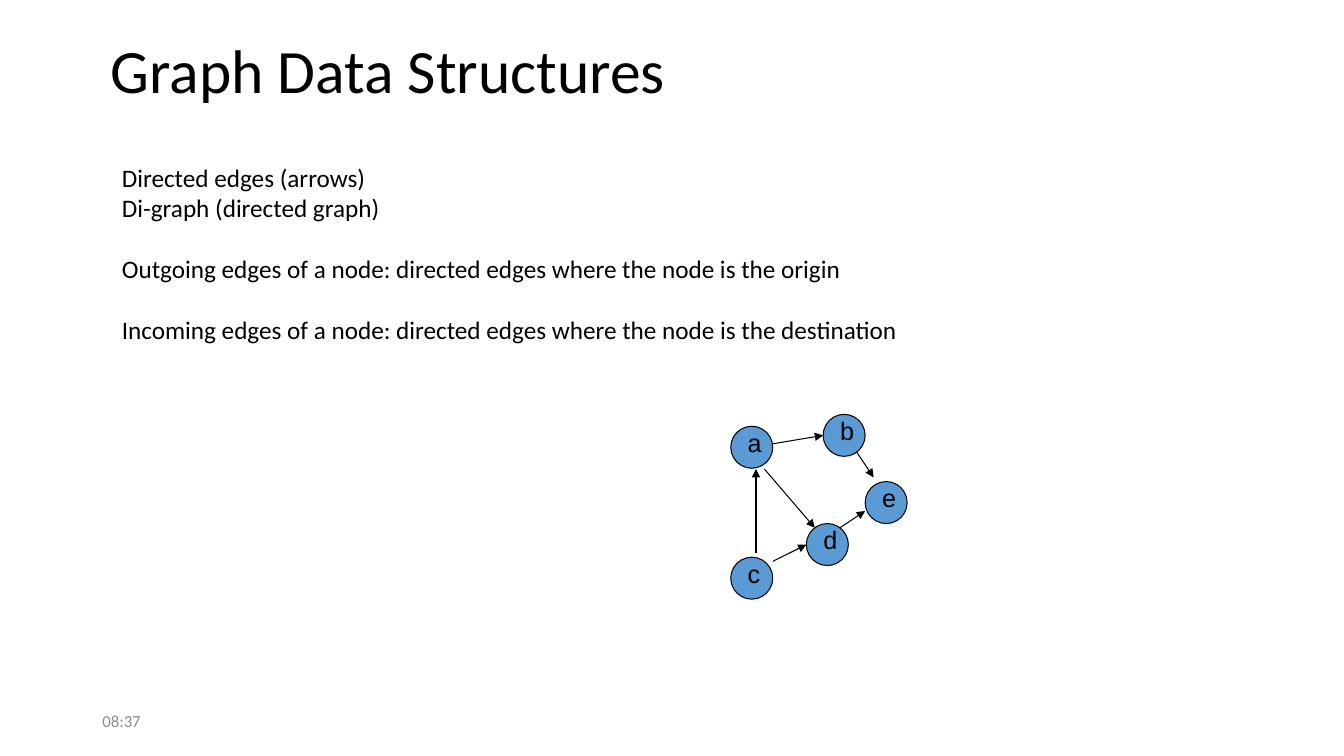
from dataclasses import dataclass

from lxml.etree import SubElement
from pptx import Presentation
from pptx.dml.color import RGBColor
from pptx.enum.shapes import MSO_CONNECTOR, MSO_SHAPE
from pptx.enum.text import MSO_ANCHOR
from pptx.oxml.ns import qn
from pptx.util import Pt


@dataclass(frozen=True)
class Theme:
    ink: RGBColor = RGBColor(0x00, 0x00, 0x00)
    node: RGBColor = RGBColor(0x5B, 0x9B, 0xD5)
    muted: RGBColor = RGBColor(0x8C, 0x8C, 0x8C)
    font: str = "Calibri"
    label: str = "Arial"
    title: int = 44
    body: int = 18
    small: int = 12
    line: float = 0.75


NODE = 30  # node diameter

NODES = {
    "a": (522, 304.5),
    "b": (588, 296),
    "c": (522, 398),
    "e": (618, 344),
    "d": (576, 374),
}

# start x, start y, end x, end y
EDGES = [
    (552, 317, 588, 311),  # a to b
    (546, 335, 582, 377),  # a to d
    (540, 395, 540, 335),  # c to a
    (612, 323, 624, 341),  # b to e
    (552, 401, 576, 389),  # c to d
    (600, 377, 618, 365),  # d to e
]

# text, space before
BODY = [
    ("Directed edges (arrows)", 0),
    ("Di-graph (directed graph)", 0),
    ("Outgoing edges of a node: directed edges where the node is the origin", 22),
    ("Incoming edges of a node: directed edges where the node is the destination", 22),
]


def apply(target, values):
    for name, value in values.items():
        setattr(target, name, value)


class Painter:
    def __init__(self, slide, theme):
        self.shapes = slide.shapes
        self.theme = theme

    def text(self, box, paras, size, font=None, color=None, frame=None, para=None):
        """Add a text box; paras holds (text, space before) pairs."""
        body = self.shapes.add_textbox(*map(Pt, box)).text_frame
        apply(body, {"word_wrap": True} | (frame or {}))
        style = {"size": Pt(size), "name": font or self.theme.font}
        for i, (words, gap) in enumerate(paras):
            item = body.add_paragraph() if i else body.paragraphs[0]
            apply(item, {"space_before": Pt(gap)} | (para or {}))
            run = item.add_run()
            run.text = words
            apply(run.font, style)
            run.font.color.rgb = color or self.theme.ink

    def stroke(self, line):
        line.color.rgb = self.theme.ink
        line.width = Pt(self.theme.line)

    def node(self, name, left, top):
        disc = self.shapes.add_shape(
            MSO_SHAPE.OVAL, Pt(left), Pt(top), Pt(NODE), Pt(NODE)
        )
        disc.shadow.inherit = False
        disc.fill.solid()
        disc.fill.fore_color.rgb = self.theme.node
        self.stroke(disc.line)
        self.text(
            (left + 5, top - 3, 24.5, 29),
            [(name, 0)],
            self.theme.body,
            font=self.theme.label,
            frame={"word_wrap": False},
        )

    def arrow(self, ends):
        edge = self.shapes.add_connector(MSO_CONNECTOR.STRAIGHT, *map(Pt, ends))
        self.stroke(edge.line)
        tip = SubElement(edge.line._get_or_add_ln(), qn("a:tailEnd"))
        tip.set("type", "triangle")
        SubElement(edge._element.spPr, qn("a:effectLst"))


def main():
    deck = Presentation()
    apply(deck, {"slide_width": Pt(960), "slide_height": Pt(540)})
    theme = Theme()
    paint = Painter(deck.slides.add_slide(deck.slide_layouts[6]), theme)
    middle = {"vertical_anchor": MSO_ANCHOR.MIDDLE}

    paint.text(
        (72, 0.5, 828, 104.5),
        [("Graph Data Structures", 0)],
        theme.title,
        frame=middle,
        para={"line_spacing": 0.9},
    )
    for name, spot in NODES.items():
        paint.node(name, *spot)
    for ends in EDGES:
        paint.arrow(ends)
    paint.text(
        (66, 500.5, 216, 28.5),
        [("08:37", 0)],
        theme.small,
        color=theme.muted,
        frame=middle,
    )
    paint.text((80, 112.5, 653, 138), BODY, theme.body)
    deck.save("out.pptx")


if __name__ == "__main__":
    main()
